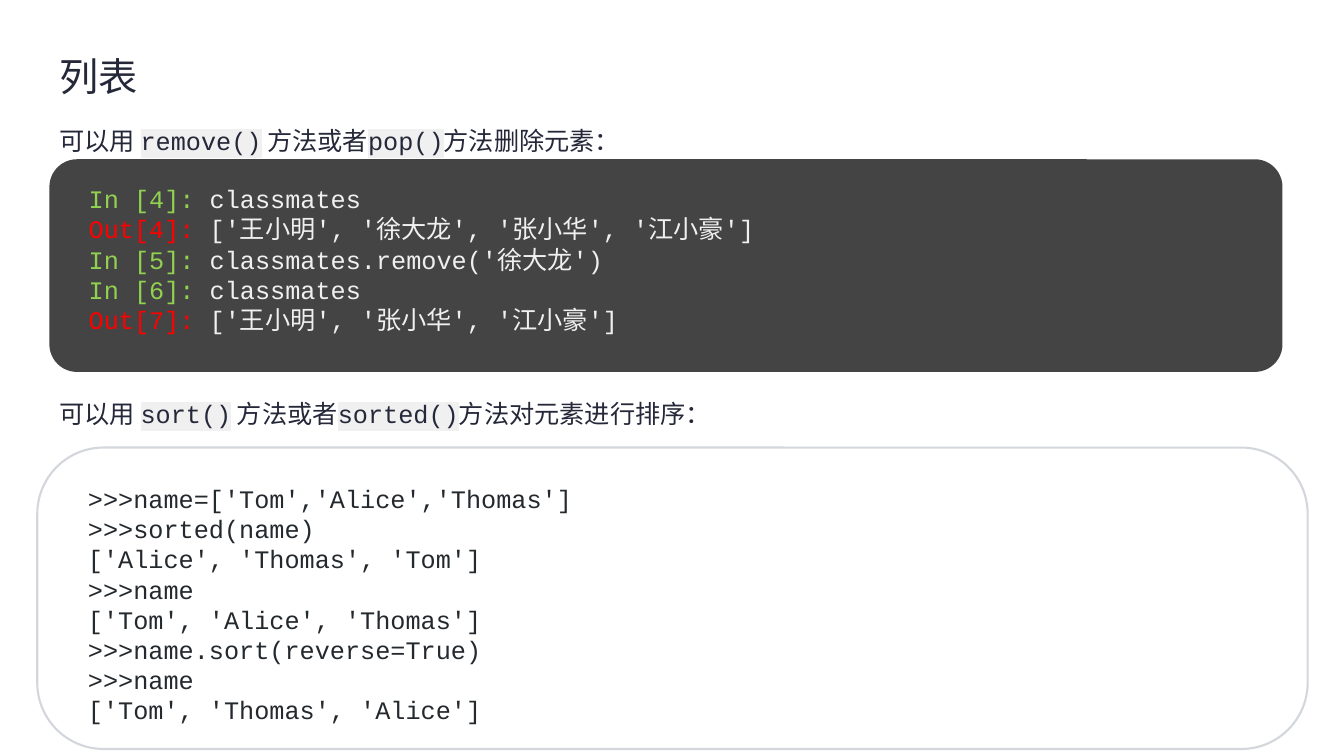
from lxml import etree
from pptx import Presentation, util as u
from pptx.dml.color import RGBColor
from pptx.enum import shapes, text
from pptx.oxml import ns

WIDTH, HEIGHT = 13.33, 7.5
MARGIN, TEXT_WIDTH = 0.49, 11.98
SANS, MONO = "Noto Sans CJK SC", "Courier New"
INK, CODE_INK, PALE = "252839", "24292E", "F0F0F0"
GREEN, RED = "92D050", "FF0000"

SESSION = [
    ("In [4]: ", "classmates"),
    ("Out[4]: ", "['王小明', '徐大龙', '张小华', '江小豪']"),
    ("In [5]: ", "classmates.remove('徐大龙')"),
    ("In [6]: ", "classmates"),
    ("Out[7]: ", "['王小明', '张小华', '江小豪']"),
]
SORTING = [
    ">>>name=['Tom','Alice','Thomas']",
    ">>>sorted(name)",
    "['Alice', 'Thomas', 'Tom']",
    ">>>name",
    "['Tom', 'Alice', 'Thomas']",
    ">>>name.sort(reverse=True)",
    ">>>name",
    "['Tom', 'Thomas', 'Alice']",
]


def color(value):
    return RGBColor.from_string(value)


def inches(box):
    return [u.Inches(length) for length in box]


def add_run(paragraph, content, font, ink, highlight=None):
    run = paragraph.add_run()
    run.text = content
    run.font.size = paragraph.font.size
    run.font.color.rgb = color(ink)
    properties = run.font._element
    if highlight:
        mark = etree.SubElement(properties, ns.qn("a:highlight"))
        etree.SubElement(mark, ns.qn("a:srgbClr"), val=highlight)
    run.font.name = font
    if font == SANS:
        etree.SubElement(properties, ns.qn("a:ea"), typeface=font)


def add_heading(slide, box, size, parts):
    """Add one line of text; every second part is highlighted code."""
    frame = slide.shapes.add_textbox(*inches(box)).text_frame
    frame.word_wrap = True
    frame.auto_size = text.MSO_AUTO_SIZE.SHAPE_TO_FIT_TEXT
    paragraph = frame.paragraphs[0]
    paragraph.line_spacing = 1.2
    paragraph.space_after = u.Pt(6)
    paragraph.font.size = u.Pt(size)
    for index, part in enumerate(parts):
        is_code = index % 2 == 1
        add_run(paragraph, part, MONO if is_code else SANS, INK,
                PALE if is_code else None)


def add_code_panel(slide, box, rounding, fill, lines, align, outline=None):
    """Add a rounded panel; each line is a list of (text, colour) pairs."""
    panel = slide.shapes.add_shape(
        shapes.MSO_SHAPE.ROUNDED_RECTANGLE, *inches(box))
    panel.adjustments[0] = rounding
    panel.shadow.inherit = False
    panel.fill.solid()
    panel.fill.fore_color.rgb = color(fill)
    if outline:
        panel.line.color.rgb = color(outline)
        panel.line.width = u.Pt(1.5)
    else:
        panel.line.fill.background()
    frame = panel.text_frame
    frame.word_wrap = True
    frame.vertical_anchor = text.MSO_ANCHOR.TOP
    frame.margin_left, frame.margin_right = inches((0.31, 0.24))
    frame.margin_top = frame.margin_bottom = u.Inches(0.16)
    for index, line in enumerate(lines):
        paragraph = frame.add_paragraph() if index else frame.paragraphs[0]
        paragraph.alignment = align
        paragraph.font.size = u.Pt(18)
        for content, ink in line:
            add_run(paragraph, content, MONO, ink)


def add_list_slide(presentation):
    slide = presentation.slides.add_slide(presentation.slide_layouts[6])
    add_heading(slide, (MARGIN, 0.38, TEXT_WIDTH, 0.62), 28, ["列表"])
    session = [[(prompt, GREEN if prompt.startswith("In") else RED), (code, PALE)]
               for prompt, code in SESSION]
    add_code_panel(slide, (MARGIN, 1.58, 12.23, 2.11), 0.13, "444444",
                   session, text.PP_ALIGN.LEFT)
    add_heading(slide, (MARGIN, 1.13, TEXT_WIDTH, 0.45), 18,
                ["可以用 ", "remove()", " 方法或者", "pop()", "方法删除元素："])
    add_code_panel(slide, (0.37, 4.44, 12.6, 2.99), 0.22, "FFFFFF",
                   [[(line, CODE_INK)] for line in SORTING],
                   text.PP_ALIGN.JUSTIFY, outline="D3D7DC")
    add_heading(slide, (MARGIN, 3.84, TEXT_WIDTH, 0.45), 18,
                ["可以用 ", "sort()", " 方法或者", "sorted()", "方法对元素进行排序："])


def main():
    presentation = Presentation()
    presentation.slide_width, presentation.slide_height = inches((WIDTH, HEIGHT))
    add_list_slide(presentation)
    presentation.save("out.pptx")


if __name__ == "__main__":
    main()
